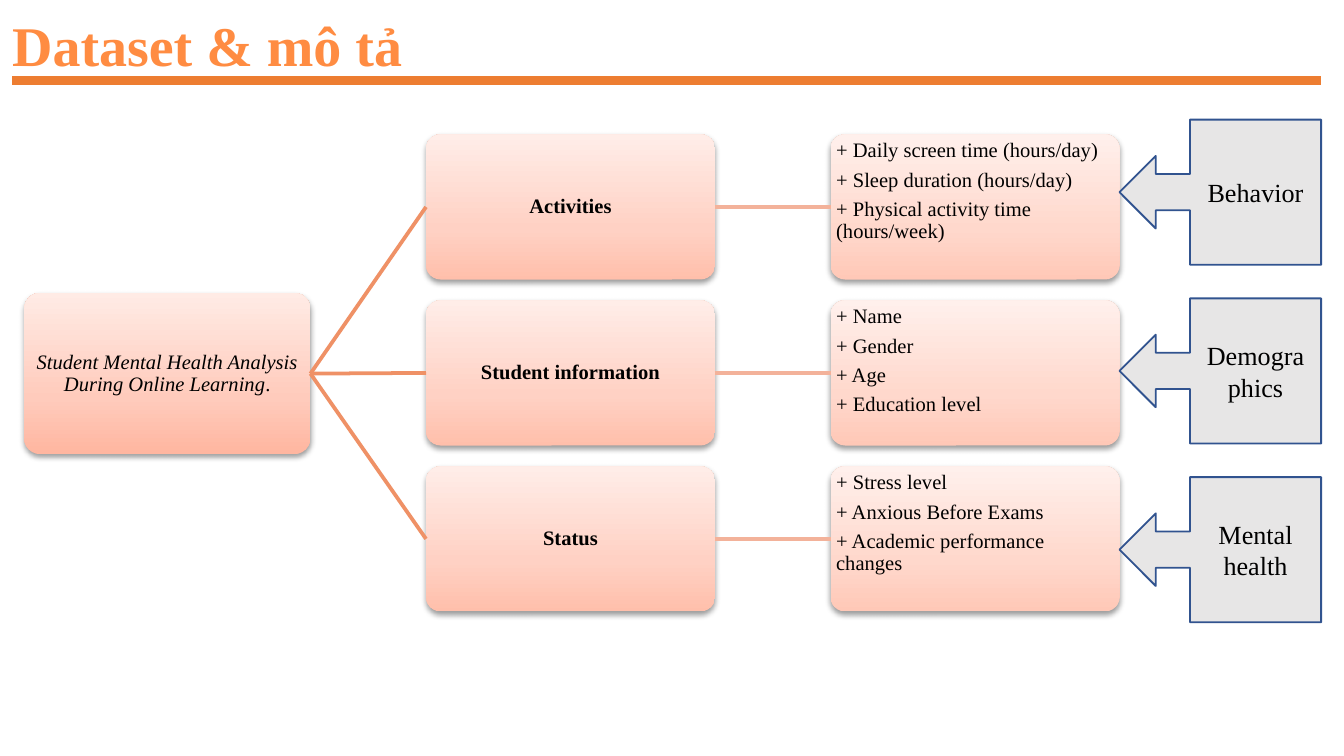
from copy import deepcopy

from lxml.etree import SubElement
from pptx import Presentation
from pptx.dml.color import RGBColor
from pptx.enum.shapes import MSO_CONNECTOR as Connector, MSO_SHAPE as Shape
from pptx.enum.text import MSO_ANCHOR as Anchor, MSO_AUTO_SIZE as AutoSize, PP_ALIGN as Align
from pptx.oxml.ns import qn
from pptx.util import Inches, Pt

FONT = "Times New Roman"
BLACK = RGBColor(0x00, 0x00, 0x00)
TITLE_ORANGE = RGBColor(0xFF, 0x8C, 0x42)
RULE_ORANGE = RGBColor(0xED, 0x7D, 0x31)
CALLOUT_GREY = RGBColor(0xE7, 0xE6, 0xE6)
CALLOUT_BLUE = RGBColor(0x31, 0x53, 0x8F)
ROOT_LINK = RGBColor(0xEF, 0x91, 0x66)
DETAIL_LINK = RGBColor(0xF3, 0xB2, 0x9A)
ROOT_FILL = (RGBColor(0xFF, 0xB6, 0xA0), RGBColor(0xFF, 0xCB, 0xBC), RGBColor(0xFF, 0xEB, 0xE5))
BRANCH_FILL = (RGBColor(0xFF, 0xBF, 0xAB), RGBColor(0xFF, 0xD1, 0xC4), RGBColor(0xFF, 0xED, 0xE8))
DETAIL_FILL = (RGBColor(0xFF, 0xC8, 0xB7), RGBColor(0xFF, 0xD8, 0xCC), RGBColor(0xFF, 0xF0, 0xEC))
STOP_POSITIONS = (0, 0.35, 1)

BRANCHES = [
    ("Activities", "Behavior",
     ["+ Daily screen time (hours/day)", "+ Sleep duration (hours/day)",
      "+ Physical activity time (hours/week)"]),
    ("Student information", "Demographics",
     ["+ Name", "+ Gender", "+ Age", "+ Education level"]),
    ("Status", "Mental health",
     ["+ Stress level", "+ Anxious Before Exams", "+ Academic performance changes"]),
]
FIRST_TOP, LAST_TOP = 1, 3.47
BRANCH_PITCH = (LAST_TOP - FIRST_TOP) / (len(BRANCHES) - 1)


def write_text(paragraph, text, size=11, color=BLACK, bold=False, italic=False,
               align=Align.CENTER, spacing=None, after=0):
    """Add a formatted run to a paragraph and set the paragraph's layout."""
    paragraph.alignment = align
    paragraph.line_spacing = spacing
    paragraph.space_before = Pt(0)
    paragraph.space_after = Pt(after)
    run = paragraph.add_run()
    run.text = text
    run.font.name = FONT
    run.font.size = Pt(size)
    run.font.color.rgb = color
    run.font.bold = bold
    run.font.italic = italic


class DiagramSlide:
    """Hold the diagram's style and the slide it is drawn on."""

    node_text = {"spacing": 0.9, "after": 3.85}

    def __init__(self, slide):
        """Keep the slide to draw on."""
        self.slide = slide

    def set_frame(self, frame, anchor, side, top):
        """Set the wrapping, anchor and insets of a text frame."""
        frame.word_wrap = True
        frame.auto_size = AutoSize.NONE
        frame.vertical_anchor = anchor
        frame.margin_left = frame.margin_right = Inches(side)
        frame.margin_top = frame.margin_bottom = Inches(top)

    def add_title(self, text):
        """Fill the title placeholder."""
        title = self.slide.shapes.title
        title.left, title.top = Inches(0.09), Inches(0.17)
        title.width, title.height = Inches(9.91), Inches(0.33)
        self.set_frame(title.text_frame, Anchor.TOP, 0, 0)
        write_text(title.text_frame.paragraphs[0], text, size=30, color=TITLE_ORANGE,
                   bold=True, align=Align.LEFT, spacing=0.81)

    def add_line(self, start, end, color, width):
        """Draw a straight line without a shadow."""
        line = self.slide.shapes.add_connector(
            Connector.STRAIGHT, *(Inches(value) for value in (*start, *end)))
        line.line.color.rgb = color
        line.line.width = Pt(width)
        SubElement(line._element.spPr, qn("a:effectLst"))
        return line

    def add_link(self, source, target, color):
        """Join the right side of one node to the left side of another."""
        link = self.add_line((0, 0), (0, 0), color, 2)
        link.begin_connect(source, 3)
        link.end_connect(target, 1)

    def add_node(self, left, top, width, height, colors, anchor=Anchor.MIDDLE):
        """Draw a rounded node with a gradient and a soft shadow."""
        node = self.slide.shapes.add_shape(
            Shape.ROUNDED_RECTANGLE, Inches(left), Inches(top), Inches(width), Inches(height))
        node.adjustments[0] = 0.1
        node.fill.gradient()
        node.fill.gradient_angle = 90
        stops = node._element.spPr.find(".//" + qn("a:gsLst"))
        stops.append(deepcopy(stops[0]))
        for stop, color, position in zip(node.fill.gradient_stops, colors, STOP_POSITIONS):
            stop.color.rgb = color
            stop.position = position
        node.line.fill.background()
        node.shadow.inherit = False
        effects = node._element.spPr.find(qn("a:effectLst"))
        shadow = SubElement(effects, qn("a:outerShdw"), blurRad=str(Pt(3.1)),
                            dist=str(Pt(1.6)), dir="5400000", rotWithShape="0")
        shade = SubElement(shadow, qn("a:srgbClr"), val=str(BLACK))
        SubElement(shade, qn("a:alpha"), val="38000")
        self.set_frame(node.text_frame, anchor, 0.01, 0.01)
        return node

    def add_details(self, top, items):
        """Draw a node that lists the fields of a branch."""
        details = self.add_node(6.18, top, 2.15, 1.08, DETAIL_FILL, Anchor.TOP)
        frame = details.text_frame
        for index, item in enumerate(items):
            paragraph = frame.add_paragraph() if index else frame.paragraphs[0]
            write_text(paragraph, item, align=Align.LEFT, **self.node_text)
        return details

    def add_callout(self, top, text):
        """Draw a left-pointing callout."""
        callout = self.slide.shapes.add_shape(
            Shape.LEFT_ARROW_CALLOUT, Inches(8.33), Inches(top), Inches(1.5), Inches(1.08))
        for index, value in enumerate((0.25, 0.25, 0.25, 0.65)):
            callout.adjustments[index] = value
        callout.fill.solid()
        callout.fill.fore_color.rgb = CALLOUT_GREY
        callout.line.color.rgb = CALLOUT_BLUE
        callout.line.width = Pt(1)
        callout.shadow.inherit = False
        self.set_frame(callout.text_frame, Anchor.MIDDLE, 0.1, 0.05)
        write_text(callout.text_frame.paragraphs[0], text, size=14)


def main():
    """Build the dataset slide and save it."""
    deck = Presentation()
    deck.slide_width = Inches(10)
    deck.slide_height = deck.slide_width * 9 // 16
    diagram = DiagramSlide(deck.slides.add_slide(deck.slide_layouts[5]))
    diagram.add_title("Dataset & mô tả")
    diagram.add_line((0.09, 0.6), (9.83, 0.6), RULE_ORANGE, 4.5)

    dataset = diagram.add_node(0.18, 2.18, 2.13, 1.2, ROOT_FILL)
    dataset_name = dataset.text_frame.paragraphs[0]
    write_text(dataset_name, "Student Mental Health Analysis During Online Learning",
               italic=True, **diagram.node_text)
    write_text(dataset_name, ".", **diagram.node_text)

    for row, (name, category, fields) in enumerate(BRANCHES):
        top = FIRST_TOP + BRANCH_PITCH * row
        branch = diagram.add_node(3.17, top, 2.15, 1.08, BRANCH_FILL)
        write_text(branch.text_frame.paragraphs[0], name, bold=True, **diagram.node_text)
        details = diagram.add_details(top, fields)
        diagram.add_link(dataset, branch, ROOT_LINK)
        diagram.add_link(branch, details, DETAIL_LINK)
        diagram.add_callout(0.89 + 1.33 * row, category)

    deck.save("out.pptx")


if __name__ == "__main__":
    main()
